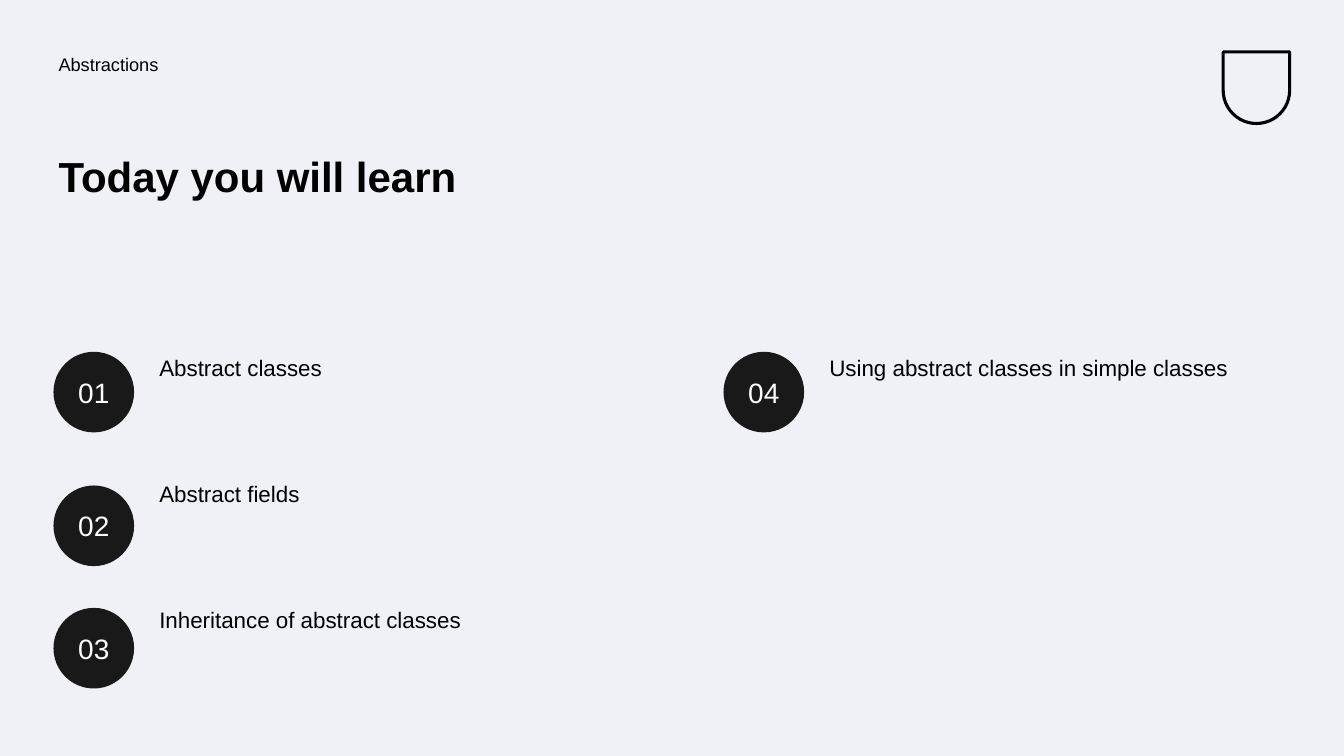
from pptx import Presentation
from pptx.dml.color import RGBColor
from pptx.enum.shapes import MSO_SHAPE
from pptx.enum.text import MSO_ANCHOR, PP_ALIGN
from pptx.util import Pt

OVAL = MSO_SHAPE.OVAL
BADGE = MSO_SHAPE.ROUND_2_SAME_RECTANGLE
TOP, MIDDLE = MSO_ANCHOR.TOP, MSO_ANCHOR.MIDDLE
LEFT, CENTER = PP_ALIGN.LEFT, PP_ALIGN.CENTER

COLORS = {"page": "F0F1F6", "ink": "000000", "disc": "191919", "number": "FEFFFF"}
FONT = "Arial"
MARGIN = 38.2
COLUMN_STEP = 478.6
TOPIC_TOP, TOPIC_STEP, TOPIC_INDENT = 251.3, 90, 72
DISC_SIZE = 57.6
DISC_TOPS = [251.3, 346.8, 434.2]
TOPICS = [
    "Abstract classes",
    "Abstract fields",
    "Inheritance of abstract classes",
    "Using abstract classes in simple classes",
]


class AgendaPage:
    """Holds the slide style and draws each kind of element in points."""

    def __init__(self, deck):
        self.page = deck.slides.add_slide(deck.slide_layouts[6])
        fill = self.page.background.fill
        fill.solid()
        fill.fore_color.rgb = self.color("page")

    def color(self, name):
        return RGBColor.from_string(COLORS[name])

    def set_text(self, shape, text, size, color, bold=False, inset=3.6,
                 anchor=TOP, align=LEFT, spacing=0.9):
        frame = shape.text_frame
        frame.word_wrap = True
        frame.vertical_anchor = anchor
        frame.margin_left = frame.margin_right = Pt(inset)
        frame.margin_top = frame.margin_bottom = Pt(inset)
        para = frame.paragraphs[0]
        para.text = text
        para.alignment = align
        para.line_spacing = spacing
        para.font.name = FONT
        para.font.size = Pt(size)
        para.font.bold = bold
        para.font.color.rgb = self.color(color)

    def text(self, left, top, width, height, text, size, bold=False):
        box = self.page.shapes.add_textbox(Pt(left), Pt(top), Pt(width), Pt(height))
        self.set_text(box, text, size, "ink", bold)

    def shape(self, kind, left, top, width, height):
        shape = self.page.shapes.add_shape(kind, Pt(left), Pt(top), Pt(width), Pt(height))
        shape.shadow.inherit = False
        return shape

    def disc(self, left, top, number):
        disc = self.shape(OVAL, left, top, DISC_SIZE, DISC_SIZE)
        disc.fill.solid()
        disc.fill.fore_color.rgb = self.color("disc")
        disc.line.fill.background()
        self.set_text(disc, f"{number:02d}", 20, "number", inset=0,
                      anchor=MIDDLE, align=CENTER, spacing=1.0)

    def badge(self, left, top, width, height):
        badge = self.shape(BADGE, left, top, width, height)
        badge.adjustments[0] = 0.5
        badge.rotation = 180
        badge.fill.background()
        badge.line.color.rgb = self.color("ink")
        badge.line.width = Pt(2.2)


def main():
    deck = Presentation()
    deck.slide_width, deck.slide_height = Pt(960), Pt(540)
    agenda = AgendaPage(deck)
    agenda.badge(873.7, 37.1, 47.5, 51.1)
    agenda.text(MARGIN, 36, 442, 36, "Abstractions", 13)
    agenda.text(MARGIN, 108, 406, 107.3, "Today you will learn", 30, bold=True)
    for index, topic in enumerate(TOPICS):
        column, row = divmod(index, len(DISC_TOPS))
        left = MARGIN + column * COLUMN_STEP
        agenda.disc(left, DISC_TOPS[row], index + 1)
        agenda.text(left + TOPIC_INDENT, TOPIC_TOP + row * TOPIC_STEP, 333.4, 71.3, topic, 16)
    deck.save("out.pptx")


if __name__ == "__main__":
    main()
